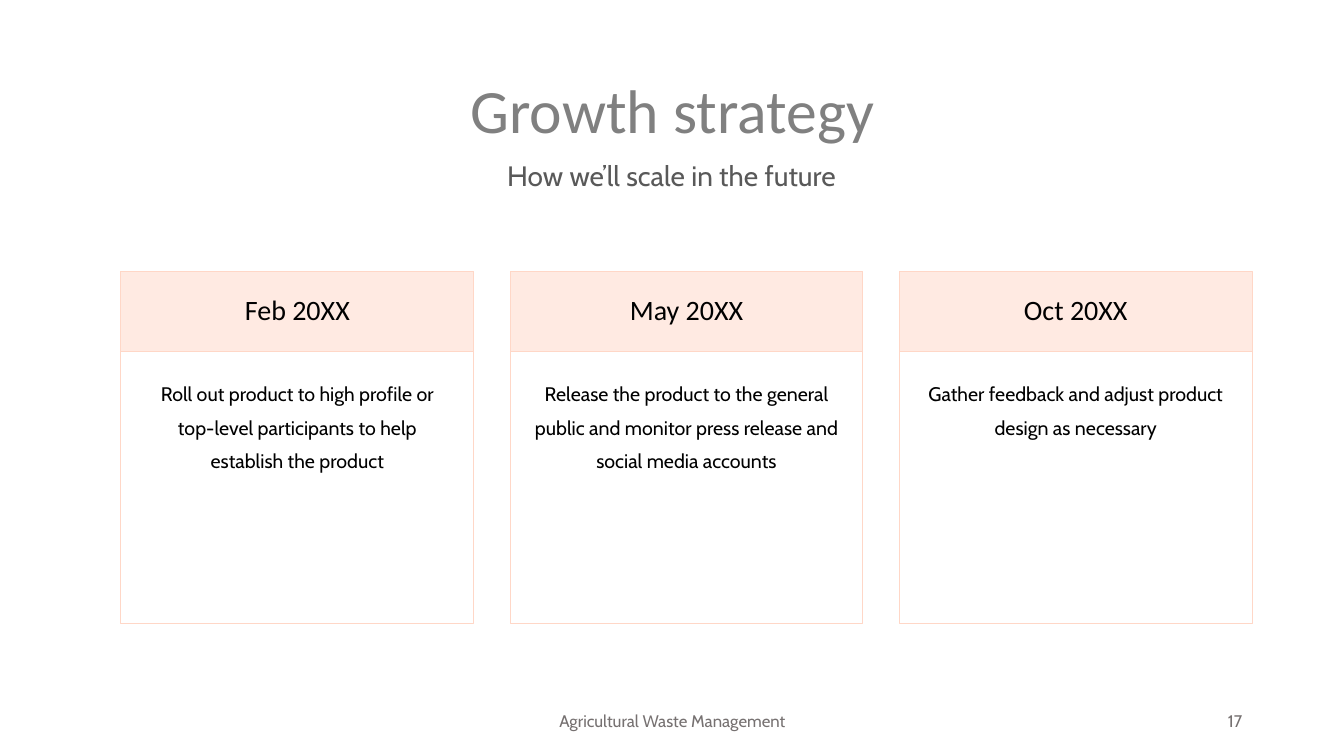
from dataclasses import dataclass

from lxml.etree import SubElement
from pptx import Presentation
from pptx.dml.color import RGBColor
from pptx.enum.shapes import MSO_SHAPE
from pptx.enum.text import MSO_ANCHOR as Anchor, MSO_AUTO_SIZE, PP_ALIGN as Align
from pptx.oxml.ns import qn
from pptx.util import Inches, Pt

PEACH = RGBColor(0xFF, 0xD7, 0xC7)
BLACK = RGBColor(0x00, 0x00, 0x00)
TITLE_GRAY = RGBColor(0x80, 0x80, 0x80)
SUBTITLE_GRAY = RGBColor(0x59, 0x59, 0x59)
FOOTER_GRAY = RGBColor(0x76, 0x71, 0x71)
HEADING_FONT = "Calibri"
BODY_FONT = "Cabin"

CARD_LEFT, CARD_TOP, CARD_WIDTH, CARD_STEP = 1.2, 2.69, 3.5, 3.86
HEADER_HEIGHT, BODY_HEIGHT = 0.8, 2.7


@dataclass(frozen=True)
class Milestone:
    date: str
    description: str


MILESTONES = [
    Milestone("Feb 20XX", "Roll out product to high profile or top-level "
              "participants to help establish the product"),
    Milestone("May 20XX", "Release the product to the general public and "
              "monitor press release and social media accounts"),
    Milestone("Oct 20XX", "Gather feedback and adjust product design as necessary"),
]


def write_text(shape, text: str, *, size: float, color: RGBColor,
               font: str = BODY_FONT, align=Align.CENTER, anchor=Anchor.MIDDLE,
               line_spacing=0.9, insets=(0.1, 0.05, 0.1, 0.05)) -> None:
    frame = shape.text_frame
    frame.word_wrap = True
    frame.auto_size = MSO_AUTO_SIZE.NONE
    frame.vertical_anchor = anchor
    (frame.margin_left, frame.margin_top,
     frame.margin_right, frame.margin_bottom) = map(Inches, insets)
    paragraph = frame.paragraphs[0]
    paragraph.alignment = align
    paragraph.line_spacing = line_spacing
    paragraph.space_before = Pt(0)
    run = paragraph.add_run()
    run.text = text
    run.font.name = font
    run.font.size = Pt(size)
    run.font.color.rgb = color


def place(shape, left: float, top: float, width: float, height: float) -> None:
    shape.left, shape.top = Inches(left), Inches(top)
    shape.width, shape.height = Inches(width), Inches(height)


def add_panel(slide, left: float, top: float, height: float, filled: bool):
    panel = slide.shapes.add_shape(MSO_SHAPE.RECTANGLE, Inches(left), Inches(top),
                                   Inches(CARD_WIDTH), Inches(height))
    panel.shadow.inherit = False
    panel.line.color.rgb = PEACH
    panel.line.width = Pt(0.75)
    if filled:
        panel.fill.solid()
        panel.fill.fore_color.rgb = PEACH
        # Half-transparent fill
        color = panel.fill._xPr.find(qn("a:solidFill")).find(qn("a:srgbClr"))
        SubElement(color, qn("a:alpha"), val="50000")
    else:
        panel.fill.background()
    return panel


def add_card(slide, left: float, milestone: Milestone) -> None:
    header = add_panel(slide, left, CARD_TOP, HEADER_HEIGHT, True)
    write_text(header, milestone.date, size=20, color=BLACK, font=HEADING_FONT)
    body = add_panel(slide, left, CARD_TOP + HEADER_HEIGHT, BODY_HEIGHT, False)
    write_text(body, milestone.description, size=14, color=BLACK, anchor=Anchor.TOP,
               line_spacing=Pt(24), insets=(0.2, 0.2, 0.2, 0.05))


def add_footer(slide, text: str, left: float, width: float, align) -> None:
    box = slide.shapes.add_textbox(Inches(left), Inches(6.95), Inches(width), Inches(0.4))
    write_text(box, text, size=12, color=FOOTER_GRAY, align=align, line_spacing=1.0)


def main() -> None:
    presentation = Presentation()
    presentation.slide_width, presentation.slide_height = Inches(13.33), Inches(7.5)
    slide = presentation.slides.add_slide(presentation.slide_layouts[0])

    # Title and subtitle
    title, subtitle = slide.shapes.title, slide.placeholders[1]
    place(title, 0.92, 0.4, 11.5, 1.16)
    write_text(title, "Growth strategy", size=44, color=TITLE_GRAY, font=HEADING_FONT,
               anchor=Anchor.BOTTOM, insets=(0.1, 0.05, 0.1, 0.1))
    place(subtitle, 0.91, 1.56, 11.5, 0.5)
    write_text(subtitle, "How we’ll scale in the future", size=20,
               color=SUBTITLE_GRAY, anchor=Anchor.TOP)

    # Milestone cards
    for index, milestone in enumerate(MILESTONES):
        add_card(slide, CARD_LEFT + index * CARD_STEP, milestone)

    # Footer
    add_footer(slide, "Agricultural Waste Management", 4.42, 4.5, Align.CENTER)
    add_footer(slide, "17", 9.42, 3, Align.RIGHT)

    presentation.save("out.pptx")


if __name__ == "__main__":
    main()
